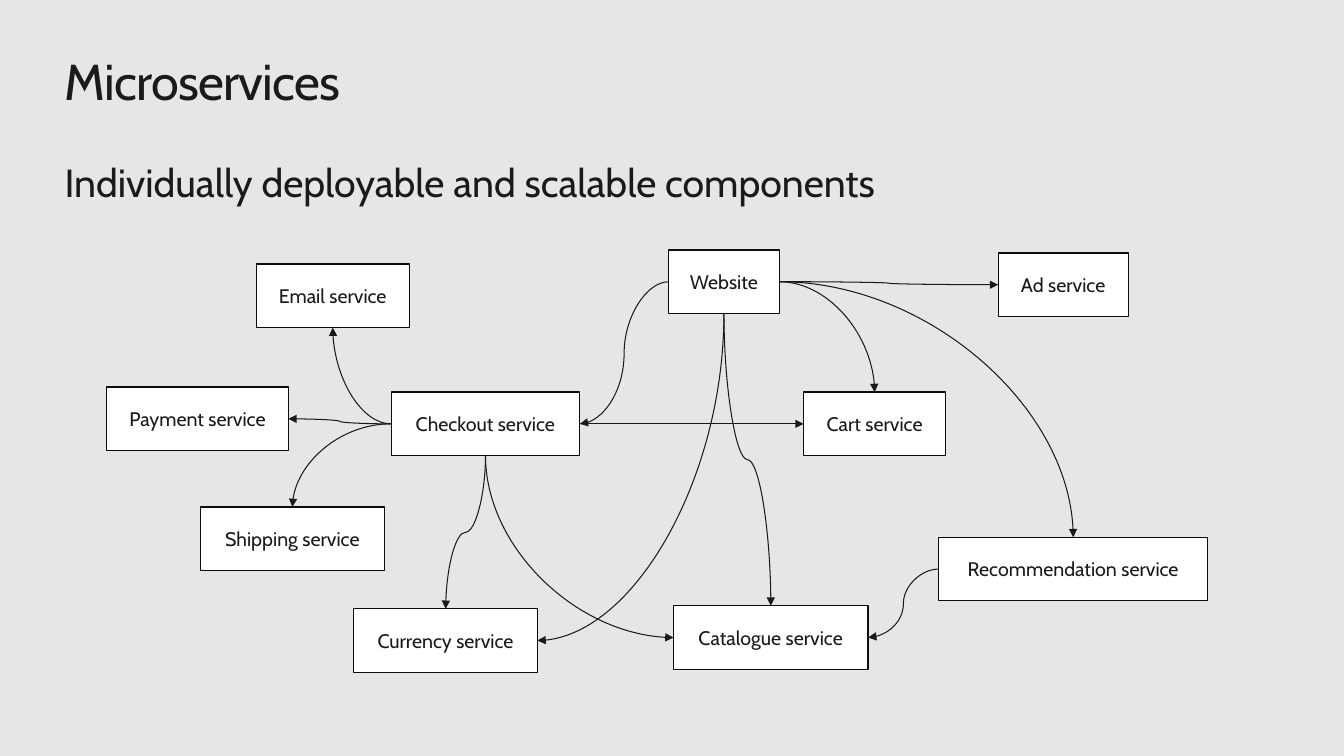
"""Build a slide that maps the calls between the microservices of a web shop."""
from pptx import Presentation
from pptx.dml.color import RGBColor as RGB
from pptx.enum.shapes import MSO_CONNECTOR as LINK, MSO_SHAPE as SHAPE
from pptx.enum.text import MSO_ANCHOR as ANCHOR, PP_ALIGN as ALIGN
from pptx.oxml.ns import qn
from pptx.util import Inches, Pt
from lxml import etree

INK = RGB(0x1A, 0x1A, 0x1A)
EDGE = RGB(0x0D, 0x0D, 0x0D)
WHITE = RGB(0xFF, 0xFF, 0xFF)
GREY = RGB(0xE6, 0xE6, 0xE6)
TOP, LEFT, BASE, RIGHT = range(4)


def write(shape, text, size=14, pad=0.0, wrap=True, align=ALIGN.LEFT,
          anchor=ANCHOR.TOP, track=None):
    frame = shape.text_frame
    frame.word_wrap = wrap
    frame.vertical_anchor = anchor
    frame.margin_left = frame.margin_right = Inches(pad)
    frame.margin_top = frame.margin_bottom = Inches(pad)
    para = frame.paragraphs[0]
    para.alignment = align
    run = para.add_run()
    run.text = text
    run.font.size = Pt(size)
    run.font.name = "Cabin"
    run.font.color.rgb = INK
    if track:
        run.font._element.set("spc", str(track))


deck = Presentation()
deck.slide_width, deck.slide_height = Inches(13.33), Inches(7.5)
slide = deck.slides.add_slide(deck.slide_layouts[6])
slide.background.fill.solid()
slide.background.fill.fore_color.rgb = GREY
shapes = slide.shapes

heads = [
    ("Microservices", 0.5, 0.61, 36, -50),
    ("Individually deployable and scalable components", 1.57, 0.47, 28, None),
]
for text, top, high, size, track in heads:
    head = shapes.add_textbox(Inches(0.64), Inches(top), Inches(12.05), Inches(high))
    write(head, text, size=size, track=track)

nodes = [
    ("Checkout service", 3.88, 3.89, 1.87),
    ("Website", 6.63, 2.48, 1.1),
    ("Ad service", 9.9, 2.51, 1.29),
    ("Cart service", 7.97, 3.89, 1.41),
    ("Email service", 2.54, 2.62, 1.52),
    ("Payment service", 1.06, 3.84, 1.8),
    ("Shipping service", 1.99, 5.03, 1.82),
    ("Currency service", 3.51, 6.04, 1.82),
    ("Catalogue service", 6.68, 6.01, 1.93),
    ("Recommendation service", 9.31, 5.33, 2.67),
]
boxes = {}
for text, left, top, wide in nodes:
    box = shapes.add_shape(SHAPE.RECTANGLE, Inches(left), Inches(top),
                           Inches(wide), Inches(0.63))
    box.shadow.inherit = False
    box.fill.solid()
    box.fill.fore_color.rgb = WHITE
    box.line.color.rgb = EDGE
    box.line.width = Pt(0.85)
    write(box, text, pad=0.2, wrap=False, align=ALIGN.CENTER, anchor=ANCHOR.MIDDLE)
    boxes[text.split()[0]] = box

calls = [
    ("Checkout", LEFT, "Email", BASE),
    ("Checkout", LEFT, "Payment", RIGHT),
    ("Checkout", LEFT, "Shipping", TOP),
    ("Checkout", BASE, "Currency", TOP),
    ("Website", RIGHT, "Ad", LEFT),
    ("Website", RIGHT, "Cart", TOP),
    ("Checkout", RIGHT, "Cart", LEFT),
    ("Website", BASE, "Catalogue", TOP),
    ("Checkout", BASE, "Catalogue", LEFT),
    ("Website", BASE, "Currency", RIGHT),
    ("Website", LEFT, "Checkout", RIGHT),
    ("Website", RIGHT, "Recommendation", TOP),
    ("Recommendation", LEFT, "Catalogue", RIGHT),
]
for start, out, end, into in calls:
    link = shapes.add_connector(LINK.CURVE, 0, 0, 0, 0)
    link.begin_connect(boxes[start], out)
    link.end_connect(boxes[end], into)
    link.line.color.rgb = INK
    link.line.width = Pt(0.75)

    x, y = link.begin_x, link.begin_y
    run, drop = link.end_x - x, link.end_y - y
    turn, flip = 0, None
    wide, high = abs(run), abs(drop)
    if out == LEFT:
        turn, flip = 180, "flipV" if drop > 0 else None
    elif out == BASE:
        turn, flip = (90, None) if run < 0 else (270, "flipH")
        wide, high = high, wide
    link.left, link.top = x + (run - wide) // 2, y + (drop - high) // 2
    link.width, link.height = wide, high

    props = link._element.spPr
    frame = props.find(qn("a:xfrm"))
    frame.attrib.clear()
    if turn:
        frame.set("rot", str(turn * 60000))
    if flip:
        frame.set(flip, "1")
    bends = 2 if (out + into) % 2 else 3
    props.find(qn("a:prstGeom")).set("prst", f"curvedConnector{bends}")
    etree.SubElement(props.find(qn("a:ln")), qn("a:tailEnd"), type="triangle")
    etree.SubElement(props, qn("a:effectLst"))

deck.save("out.pptx")
